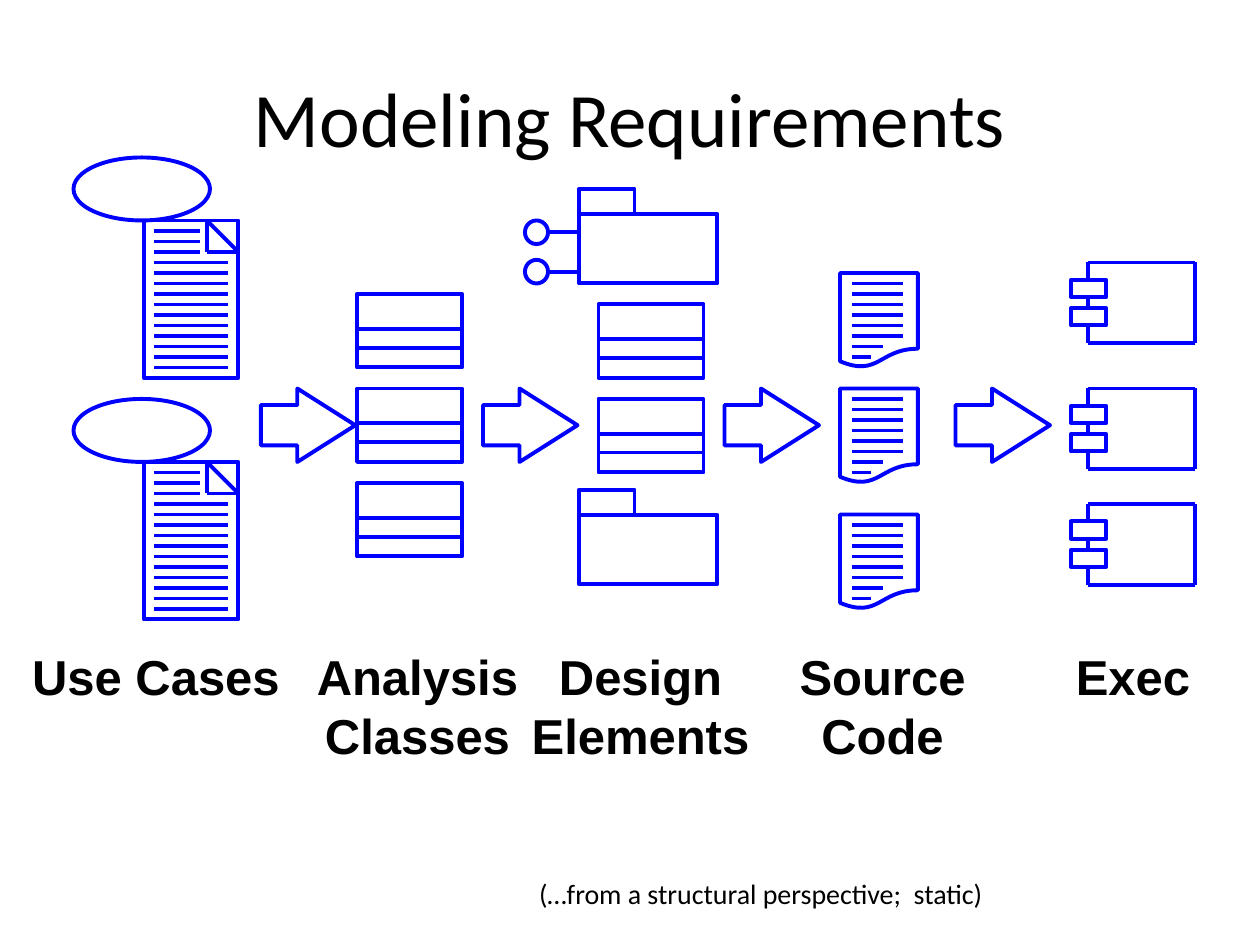
"""Build the Modeling Requirements slide on a grid of 120 columns by 90 rows."""
from dataclasses import dataclass

from lxml import etree
from pptx import Presentation
from pptx.dml.color import RGBColor
from pptx.enum import shapes, text
from pptx.util import Inches, Pt


@dataclass
class Theme:
    ink = RGBColor(0, 0, 0)
    blue = RGBColor(0, 0, 255)
    pen = Pt(2.25)
    head = "Calibri", 44, False
    label = "Arial", 28, True
    note = "Calibri", 16, False


deck = Presentation()
deck.slide_width, deck.slide_height = Inches(10), Inches(7.5)
slide = deck.slides.add_slide(deck.slide_layouts[6])
unit = deck.slide_width / 120
kind = shapes.MSO_SHAPE
mid, left = text.PP_ALIGN.CENTER, text.PP_ALIGN.LEFT


def draw(host, form, *area):
    item = host.shapes.add_shape(form, *(round(n * unit) for n in area))
    item.shadow.inherit = False
    item.fill.background()
    item.line.color.rgb = Theme.blue
    item.line.width = Theme.pen
    return item


def rule(host, *ends):
    item = host.shapes.add_connector(
        shapes.MSO_CONNECTOR.STRAIGHT, *(round(n * unit) for n in ends))
    item.line.color.rgb = Theme.blue
    item.line.width = Theme.pen
    main = "{http://schemas.openxmlformats.org/drawingml/2006/main}"
    etree.SubElement(item._element.spPr, main + "effectLst")


for x in (24.84, 46, 69, 91):
    arrow = draw(slide, kind.RIGHT_ARROW, x, 37, 9, 7)
    arrow.adjustments[0], arrow.adjustments[1] = 0.548, 0.789

for y in (15, 38):
    case = slide.shapes.add_group_shape()
    draw(case, kind.OVAL, 7, y, 13, 6)
    top = y + 6
    draw(case, kind.RECTANGLE, 13.7, top, 9, 15)
    rule(case, 19.7, top, 22.7, top + 3)
    rule(case, 19.7, top, 19.7, top + 3)
    rule(case, 22.7, top + 3, 19.7, top + 3)
    for row in range(1, 15):
        rule(case, 14.7, top + row, 19.05 if row < 4 else 21.7, top + row)

for x, y in ((34, 28), (34, 37), (34, 46), (57, 29), (57, 38)):
    card = slide.shapes.add_group_shape()
    draw(card, kind.RECTANGLE, x, y, 10, 7)
    for gap in (3.3, 5.1):
        rule(card, x, y + gap, x + 10, y + gap)

for y, ports in ((18, (21, 24.75)), (46.65, ())):
    pack = slide.shapes.add_group_shape()
    draw(pack, kind.RECTANGLE, 55.14, y + 2.4, 13.2, 6.6)
    draw(pack, kind.RECTANGLE, 55.14, y, 5.3, 2.4)
    for port in ports:
        draw(pack, kind.OVAL, 50, port, 2.2, 2.25)
        rule(pack, 52.2, port + 1.13, 55.14, port + 1.13)

for y in (26, 37, 49):
    code = slide.shapes.add_group_shape()
    draw(code, kind.FLOWCHART_DOCUMENT, 80, y, 7.42, 9)
    for row, end in enumerate([86] * 6 + [84.1, 83], 1):
        rule(code, 81.1, y + row, end, y + row)

for y in (25, 37, 48):
    part = slide.shapes.add_group_shape()
    low = y + 7.68
    rule(part, 113.85, y, 113.85, low)
    for edge in (y, low):
        rule(part, 113.85, edge, 103.6, edge)
    for gap in (1.65, 4.35):
        draw(part, kind.RECTANGLE, 102, y + gap, 3.35, 1.65)
    for start, end in ((0, 1.65), (3.3, 4.35), (6, 7.68)):
        rule(part, 103.65, y + start, 103.65, y + end)

words = (
    ("Modeling Requirements", Theme.head, mid, 6, 3.6, 108, 15),
    ("Use Cases", Theme.label, mid, 1.4, 61, 26.9, 6.8),
    ("Analysis\vClasses", Theme.label, mid, 28.5, 61, 22.5, 12.5),
    ("Design\vElements", Theme.label, mid, 49, 61, 24, 12.5),
    ("Source\nCode", Theme.label, mid, 74.5, 61, 19.1, 12.5),
    ("Exec", Theme.label, mid, 100.8, 61, 14.2, 6.8),
    ("(…from a structural perspective;  static)", Theme.note, left, 49.9, 82.8, 45.4, 4.7),
)
for copy, style, align, *area in words:
    face, size, bold = style
    box = slide.shapes.add_textbox(*(round(n * unit) for n in area))
    frame = box.text_frame
    frame.text = copy
    if style == Theme.head:
        frame.word_wrap = True
        frame.vertical_anchor = text.MSO_ANCHOR.MIDDLE
    else:
        frame.word_wrap = False
        frame.auto_size = text.MSO_AUTO_SIZE.SHAPE_TO_FIT_TEXT
    if style == Theme.note:
        frame.margin_left = frame.margin_right = Inches(0.12)
        frame.margin_top = frame.margin_bottom = Inches(0.06)
    for para in frame.paragraphs:
        para.alignment = align
        for run in para.runs:
            run.font.name, run.font.size = face, Pt(size)
            run.font.bold = bold
            run.font.color.rgb = Theme.ink

deck.save("out.pptx")
